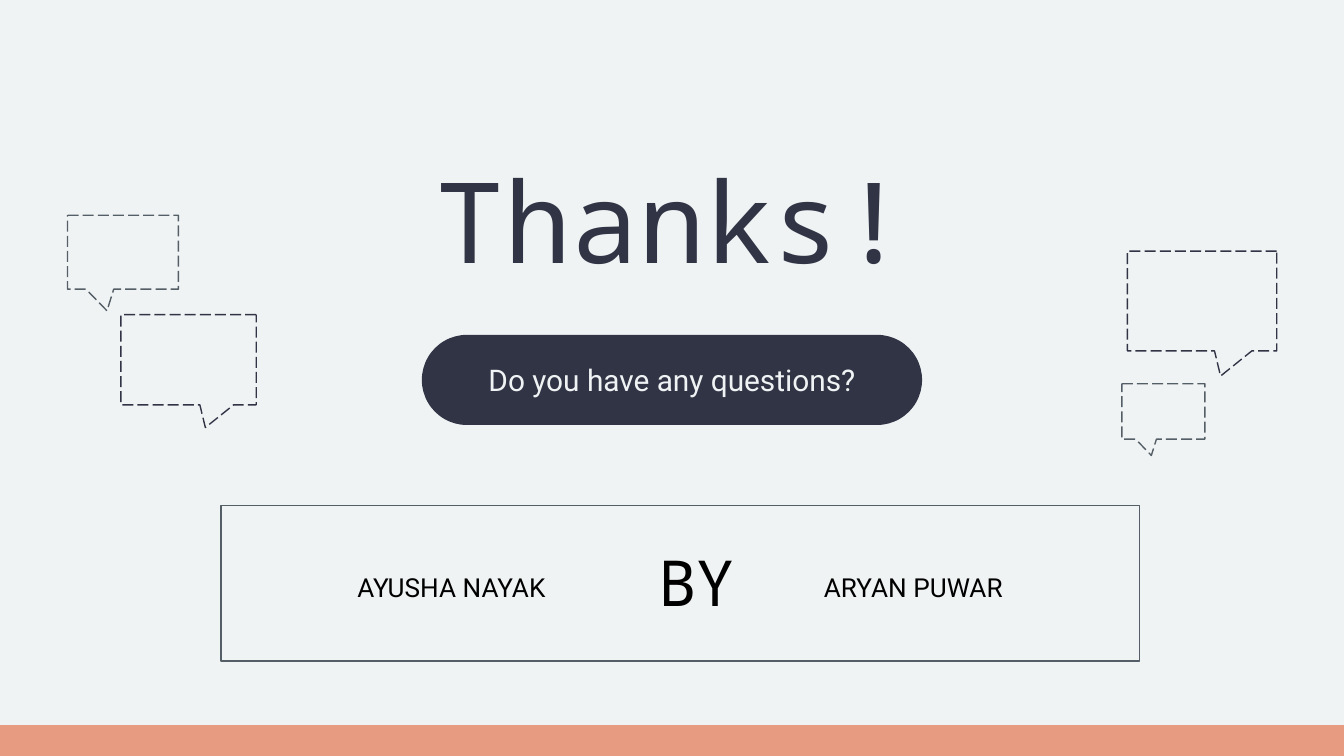
from lxml import etree
from pptx import Presentation
from pptx.dml.color import RGBColor
from pptx.enum import dml, shapes, text
from pptx.oxml import ns
from pptx.util import Pt

NAVY = RGBColor(0x31, 0x34, 0x45)
GRAY = RGBColor(0x54, 0x5E, 0x66)
PALE = RGBColor(0xF0, 0xF3, 0xF4)
CORAL = RGBColor(0xE7, 0x9C, 0x82)
BLACK = RGBColor(0, 0, 0)

MONO = "Noto Sans Mono"
SANS = "Roboto"
WIDTH, HEIGHT = 720, 405
PRESET = shapes.MSO_SHAPE


class SlideBuilder:
    inset = Pt(7.2)
    line_width = Pt(0.75)

    def __init__(self, slide):
        self.slide = slide

    def background(self, color):
        fill = self.slide.background.fill
        fill.solid()
        fill.fore_color.rgb = color

    def shape(self, preset, box, fill=None, line=None, adjustments=()):
        shape = self.slide.shapes.add_shape(preset, *map(Pt, box))
        shape.shadow.inherit = False
        for index, value in enumerate(adjustments):
            shape.adjustments[index] = value
        if fill is None:
            shape.fill.background()
        else:
            shape.fill.solid()
            shape.fill.fore_color.rgb = fill
        if line is None:
            shape.line.fill.background()
        else:
            shape.line.color.rgb = line
            shape.line.width = self.line_width
        return shape

    def bubble(self, box, color, tail, flipped=False):
        """Dashed speech bubble with square corners; tail is its tip offset."""
        shape = self.shape(PRESET.ROUNDED_RECTANGULAR_CALLOUT, box,
                           line=color, adjustments=(*tail, 0))
        shape.line.dash_style = dml.MSO_LINE.LONG_DASH
        if flipped:
            shape._element.spPr.get_or_add_xfrm().set("flipH", "1")

    def label(self, content, box, font, size, color,
              align=text.PP_ALIGN.LEFT, anchor=text.MSO_ANCHOR.TOP, tab=None):
        frame = self.slide.shapes.add_textbox(*map(Pt, box)).text_frame
        frame.word_wrap = True
        frame.vertical_anchor = anchor
        frame.margin_left = frame.margin_right = self.inset
        frame.margin_top = frame.margin_bottom = self.inset
        frame.text = content
        paragraph = frame.paragraphs[0]
        paragraph.alignment = align
        if tab is not None:
            properties = paragraph._p.get_or_add_pPr()
            stops = etree.SubElement(properties, ns.qn("a:tabLst"))
            etree.SubElement(stops, ns.qn("a:tab"), pos=str(Pt(tab)), algn="l")
        for run in paragraph.runs:
            run.font.name = font
            run.font.size = Pt(size)
            run.font.color.rgb = color


def main():
    presentation = Presentation()
    presentation.slide_width = Pt(WIDTH)
    presentation.slide_height = Pt(HEIGHT)
    slide = presentation.slides.add_slide(presentation.slide_layouts[6])
    builder = SlideBuilder(slide)
    builder.background(PALE)

    large_tail, small_tail = (-0.124, 0.752), (-0.144, 0.793)
    builder.bubble((604, 134.5, 80, 53.5), NAVY, large_tail, flipped=True)
    builder.bubble((601, 205.6, 44.5, 29.7), GRAY, small_tail)
    builder.bubble((64.8, 168.6, 72.5, 48.3), NAVY, large_tail, flipped=True)
    builder.bubble((36.2, 115.3, 59.4, 39.6), GRAY, small_tail)

    footer_height = 16.5
    builder.shape(PRESET.RECTANGLE,
                  (0, HEIGHT - footer_height, WIDTH, footer_height), CORAL)
    builder.shape(PRESET.ROUND_2_SAME_RECTANGLE, (226, 179.4, 268, 48.3),
                  NAVY, adjustments=(0.5, 0.5))

    center = text.PP_ALIGN.CENTER
    builder.label("Thanks!", (183.9, 74, 352.2, 71.3), MONO, 60, NAVY, center)
    builder.label("Do you have any questions?", (232, 174.4, 256, 58.3),
                  SANS, 16, PALE, center, text.MSO_ANCHOR.MIDDLE)

    builder.shape(PRESET.RECTANGLE, (118.5, 270.8, 492, 83.4), PALE, GRAY)
    builder.label("AYUSHA NAYAK\tARYAN PUWAR", (184.3, 298.8, 403, 35.3),
                  SANS, 14, BLACK, tab=250)
    builder.label("BY", (345.6, 283.7, 82.8, 54), MONO, 34, BLACK)

    presentation.save("out.pptx")


if __name__ == "__main__":
    main()
